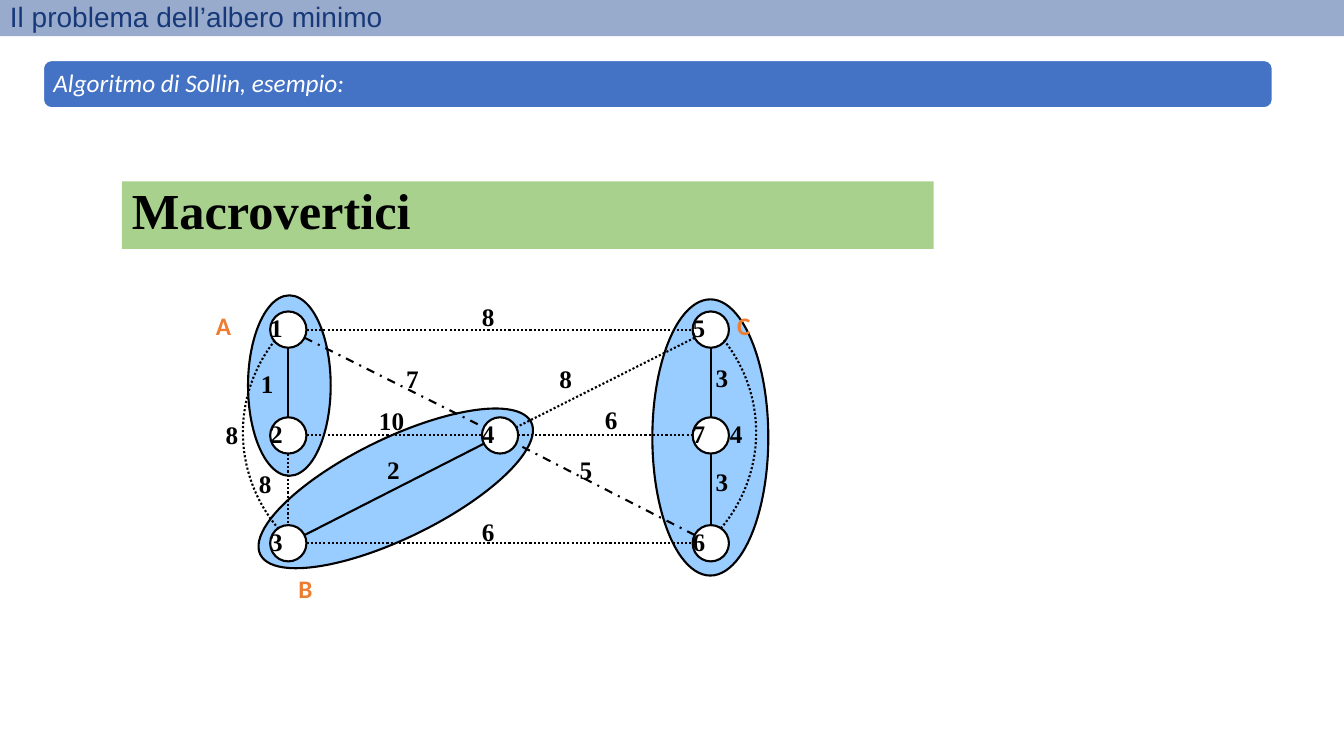
import math
from dataclasses import dataclass

import pptx
import pptx.dml.color
import pptx.enum.dml
import pptx.enum.shapes
import pptx.enum.text
import pptx.oxml.ns
import pptx.util
from lxml import etree
from pptx.util import Inches

SHAPE = pptx.enum.shapes.MSO_SHAPE
ANCHOR = pptx.enum.text.MSO_ANCHOR
DASH = pptx.enum.dml.MSO_LINE


@dataclass(frozen=True)
class Theme:
    ink: str = "000000"
    paper: str = "FFFFFF"
    macro: str = "99CCFF"
    banner: str = "A9D18E"
    accent: str = "ED7D31"
    title: str = "002060"
    bar: str = "2F5597"
    subtitle: str = "4472C4"
    serif: str = "Times New Roman"
    sans: str = "Calibri"
    heading: str = "Arial"
    body_size: int = 18
    title_size: int = 20
    banner_size: int = 36
    line_width: float = 1.5


T = Theme()
RADIUS = 0.18
LABEL_SIZE = (0.55, 0.5)
COLS, ROWS = (2.86, 4.96, 7.05), (3.27, 4.32, 5.39)
NODES = {"4": (1, 1), "7": (2, 1), "2": (0, 1), "3": (0, 2),
         "1": (0, 0), "6": (2, 2), "5": (2, 0)}
CENTRES = {name: (COLS[c], ROWS[r]) for name, (c, r) in NODES.items()}

# left, top, width, height, rotation
MACROVERTICES = [(2.43, 4.35, 2.99, 0.99, 334), (2.46, 2.93, 0.82, 1.79, 0),
                 (6.47, 2.97, 1.15, 2.74, 0)]
MACRO_NAMES = [("A", 2.12, 3.07), ("B", 2.94, 5.68), ("C", 7.29, 3.07)]

CHOSEN_EDGES = [("1", "2", None), ("1", "4", DASH.DASH_DOT), ("3", "4", None),
                ("6", "4", DASH.DASH_DOT), ("5", "7", None), ("7", "6", None)]
OTHER_EDGES = [(a, b, DASH.ROUND_DOT) for a, b in
               ("47", "15", "36", "54", "23", "24")]
CHOSEN_WEIGHTS = [("1", 2.49, 3.6), ("5", 5.65, 4.46), ("7", 3.93, 3.56),
                  ("3", 7, 3.55), ("2", 3.74, 4.46), ("3", 7, 4.58)]
OTHER_WEIGHTS = [("8", 4.68, 2.94), ("6", 5.9, 3.96), ("6", 4.68, 5.07),
                 ("10", 3.66, 3.97), ("8", 2.47, 4.6), ("8", 5.45, 3.56),
                 ("8", 2.14, 4.11), ("4", 7.14, 4.1)]

# centre x, start angle, end angle
ARC_RADIUS, ARC_Y = 1.47, 4.29
ARCS = [(3.88, 139.4, 218.7), (6.03, 321.5, 40.7)]


def rgb(color):
    return pptx.dml.color.RGBColor.from_string(color)


def apply(obj, values):
    for name, value in values.items():
        setattr(obj, name, value)


def draw_line(line, color=T.ink, width=T.line_width, dash=None):
    line.color.rgb = rgb(color)
    line.width = pptx.util.Pt(width)
    if dash is not None:
        line.dash_style = dash


def add_block(shapes, kind, box, fill=None, line=None, **line_format):
    sp = shapes.add_shape(kind, *map(Inches, box))
    sp.shadow.inherit = False
    if fill:
        sp.fill.solid()
        sp.fill.fore_color.rgb = rgb(fill)
    else:
        sp.fill.background()
    if line:
        draw_line(sp.line, line, **line_format)
    else:
        sp.line.fill.background()
    return sp


def write(sp, text, size=T.body_size, font=T.serif, color=T.ink, bold=True,
          italic=False, anchor=ANCHOR.TOP, inset=(0.1, 0.05), spacing=None):
    """Put one left-aligned line of text in a shape; inset is (x, y)."""
    tf = sp.text_frame
    x, y = map(Inches, inset)
    apply(tf, {"word_wrap": True, "vertical_anchor": anchor, "margin_left": x,
               "margin_right": x, "margin_top": y, "margin_bottom": y})
    p = tf.paragraphs[0]
    apply(p, {"alignment": pptx.enum.text.PP_ALIGN.LEFT, "line_spacing": spacing})
    r = p.add_run()
    r.text = text
    apply(r.font, {"size": pptx.util.Pt(size), "name": font, "bold": bold,
                   "italic": italic})
    r.font.color.rgb = rgb(color)


def add_text(shapes, text, box, **text_format):
    write(shapes.add_textbox(*map(Inches, box)), text, **text_format)


def add_weights(shapes, weights):
    for text, x, y in weights:
        add_text(shapes, text, (x, y, *LABEL_SIZE))


def add_node(shapes, name):
    x, y = CENTRES[name]
    left, top = x - RADIUS, y - RADIUS
    add_block(shapes, SHAPE.OVAL, (left, top, 2 * RADIUS, 2 * RADIUS),
              T.paper, T.ink)
    add_text(shapes, name, (left - 0.1, top - 0.04, *LABEL_SIZE))


def add_edge(shapes, start, end, dash):
    """Join two nodes from rim to rim."""
    (x1, y1), (x2, y2) = CENTRES[start], CENTRES[end]
    angle = math.atan2(y2 - y1, x2 - x1)
    dx, dy = RADIUS * math.cos(angle), RADIUS * math.sin(angle)
    ends = (x1 + dx, y1 + dy, x2 - dx, y2 - dy)
    edge = shapes.add_connector(pptx.enum.shapes.MSO_CONNECTOR.STRAIGHT,
                                *map(Inches, ends))
    draw_line(edge.line, dash=dash)
    etree.SubElement(edge._element.spPr, pptx.oxml.ns.qn("a:effectLst"))


def add_arc(shapes, x, start, end):
    box = (x - ARC_RADIUS, ARC_Y - ARC_RADIUS, 2 * ARC_RADIUS, 2 * ARC_RADIUS)
    sp = add_block(shapes, SHAPE.ARC, box, line=T.ink, dash=DASH.ROUND_DOT)
    # Angles are stored in 60000ths of a degree, adjustments in 100000ths
    for i, angle in enumerate((start, end)):
        sp.adjustments[i] = angle * 0.6


def add_graph(shapes):
    nodes = shapes.add_group_shape().shapes
    for name in NODES:
        add_node(nodes, name)
    add_weights(shapes.add_group_shape().shapes, CHOSEN_WEIGHTS)
    chosen = shapes.add_group_shape().shapes
    for edge in CHOSEN_EDGES:
        add_edge(chosen, *edge)
    others = shapes.add_group_shape().shapes
    for edge in OTHER_EDGES:
        add_edge(others, *edge)
    for arc in ARCS:
        add_arc(others, *arc)
    for name, x, y in MACRO_NAMES:
        add_text(shapes, name, (x, y, *LABEL_SIZE), font=T.sans,
                 color=T.accent, inset=(0.02, 0.01))
    add_weights(shapes.add_group_shape().shapes, OTHER_WEIGHTS)


def add_header(shapes):
    add_text(shapes, "Il problema dell’albero minimo", (0, -0.11, 12.29, 0.55),
             size=T.title_size, font=T.heading, color=T.title, bold=False,
             anchor=ANCHOR.MIDDLE)
    bar = add_block(shapes, SHAPE.RECTANGLE, (0, 0, 13.33, 0.36), T.bar)
    color = bar._element.spPr.find(".//" + pptx.oxml.ns.qn("a:srgbClr"))
    etree.SubElement(color, pptx.oxml.ns.qn("a:alpha"), val="49000")

    subtitle = shapes.add_group_shape().shapes
    add_block(subtitle, SHAPE.ROUNDED_RECTANGLE, (0.43, 0.6, 12.19, 0.47),
              T.subtitle, T.paper, width=1)
    add_text(subtitle, "Algoritmo di Sollin, esempio:", (0.46, 0.62, 12.12, 0.43),
             font=T.sans, color=T.paper, bold=False, italic=True,
             anchor=ANCHOR.MIDDLE, inset=(0.07, 0.07), spacing=0.9)


def main():
    prs = pptx.Presentation()
    apply(prs, {"slide_width": Inches(13.33), "slide_height": Inches(7.5)})
    s = prs.slides.add_slide(prs.slide_layouts[6])
    for *box, rotation in MACROVERTICES:
        add_block(s.shapes, SHAPE.OVAL, box, T.macro, T.ink).rotation = rotation
    banner = add_block(s.shapes, SHAPE.RECTANGLE, (1.21, 1.8, 8.05, 0.67), T.banner)
    write(banner, "Macrovertici", size=T.banner_size, spacing=0.9)
    add_graph(s.shapes)
    add_header(s.shapes)
    prs.save("out.pptx")


if __name__ == "__main__":
    main()
